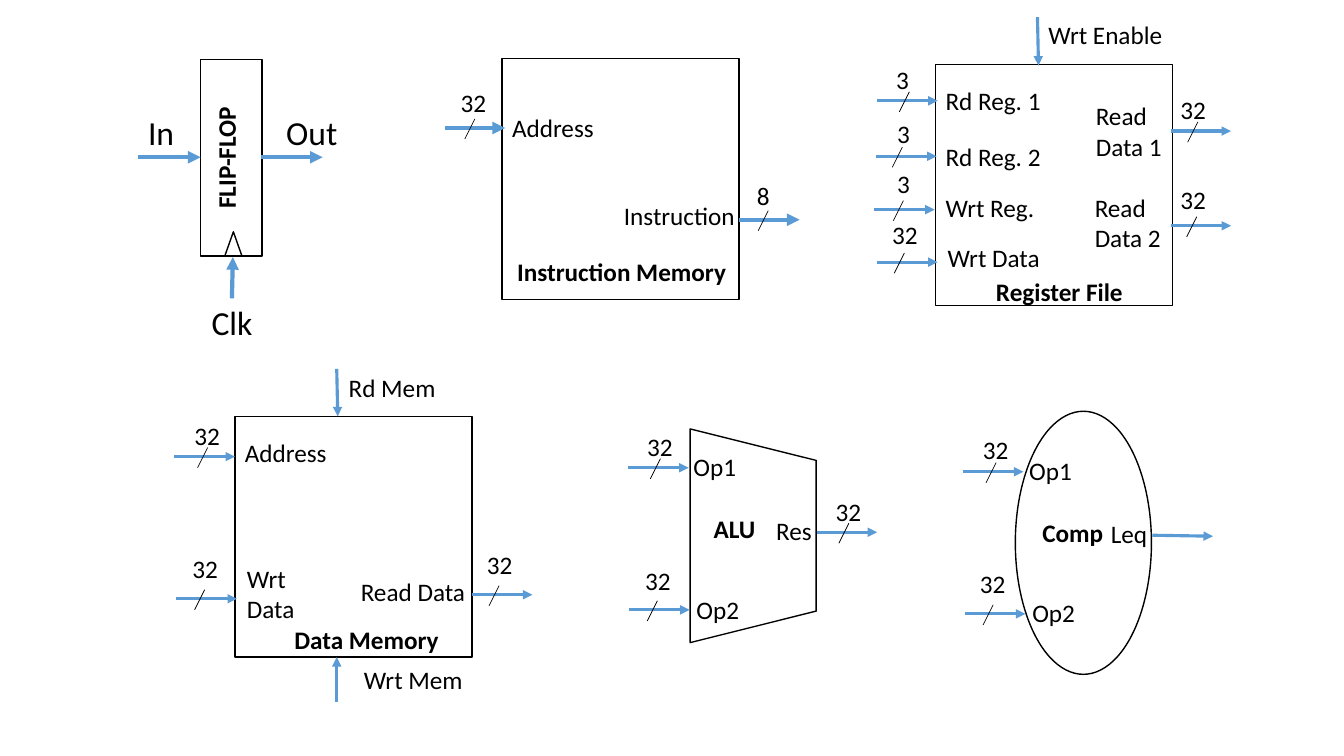
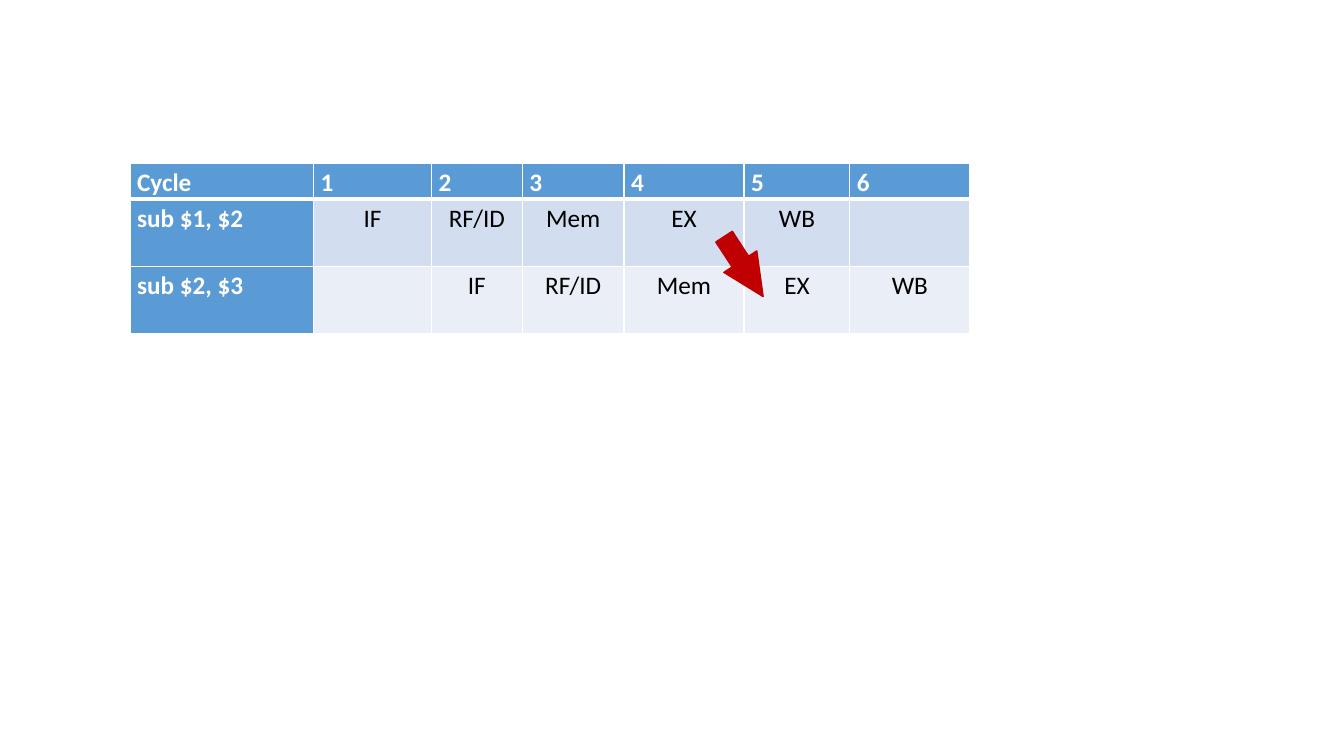
from lxml import etree
from pptx import Presentation
from pptx.dml.color import RGBColor
from pptx.enum.shapes import MSO_CONNECTOR, MSO_SHAPE
from pptx.enum.text import MSO_AUTO_SIZE, PP_ALIGN
from pptx.oxml.ns import qn
from pptx.util import Inches, Pt

RECT, OVAL = MSO_SHAPE.RECTANGLE, MSO_SHAPE.OVAL
TRAP, CLOCK = MSO_SHAPE.TRAPEZOID, MSO_SHAPE.ISOSCELES_TRIANGLE
ARROW, LINE = MSO_SHAPE.RIGHT_ARROW, MSO_CONNECTOR.STRAIGHT
GROW, LEFT, CENTER = MSO_AUTO_SIZE.SHAPE_TO_FIT_TEXT, PP_ALIGN.LEFT, PP_ALIGN.CENTER
BLACK, WHITE, BLUE, RED = "000000", "FFFFFF", "5B9BD5", "C00000"
BANDS = ("D2DEEF", "EAEFF7")
FONT = "Calibri"


def color(code):
    """Turn a hex string into a colour."""
    return RGBColor.from_string(code)


class Deck:
    """Hold the style, the current slide and the place to draw on."""

    def __init__(self):
        """Start a wide deck."""
        self.prs = Presentation()
        self.prs.slide_width, self.prs.slide_height = Inches(13.33), Inches(7.5)

    def page(self):
        """Add a blank slide."""
        self.slide = self.prs.slides.add_slide(self.prs.slide_layouts[6])
        self.on = self.slide.shapes

    def group(self):
        """Draw the next elements in a group."""
        self.on = self.slide.shapes.add_group_shape().shapes

    def leave(self):
        """Draw on the slide itself again."""
        self.on = self.slide.shapes

    def style(self, para, size=18, code=BLACK, bold=False, align=LEFT):
        """Format a paragraph and its runs."""
        para.alignment = align
        for run in para.runs:
            run.font.name, run.font.size, run.font.bold = FONT, Pt(size), bold
            run.font.color.rgb = color(code)

    def text(self, text, x, y, w, h=0.4, turn=0, **look):
        """Add a label that does not wrap."""
        box = self.on.add_textbox(Inches(x), Inches(y), Inches(w), Inches(h))
        box.rotation = turn
        frame = box.text_frame
        frame.word_wrap, frame.auto_size = False, GROW
        frame.text = text
        for para in frame.paragraphs:
            self.style(para, **look)

    def shape(self, kind, x, y, w, h, turn=0, fill=None, line=BLACK):
        """Add an outlined shape, filled if a colour is given."""
        item = self.on.add_shape(kind, Inches(x), Inches(y), Inches(w), Inches(h))
        item.shadow.inherit = False
        item.rotation = turn
        if fill:
            item.fill.solid()
            item.fill.fore_color.rgb = color(fill)
        else:
            item.fill.background()
        item.line.color.rgb, item.line.width = color(line), Pt(1)
        return item

    def line(self, x1, y1, x2, y2, code=BLACK, width=0.5):
        """Add a plain line."""
        item = self.on.add_connector(LINE, Inches(x1), Inches(y1), Inches(x2), Inches(y2))
        item.line.color.rgb, item.line.width = color(code), Pt(width)
        etree.SubElement(item._element.spPr, qn("a:effectLst"))
        return item

    def arrow(self, x1, y1, x2, y2, width=2.25):
        """Add a blue line with an arrowhead at its end."""
        item = self.line(x1, y1, x2, y2, BLUE, width)
        etree.SubElement(item.line._get_or_add_ln(), qn("a:tailEnd"), type="triangle")

    def bus(self, bits, x, y, cut, left, top, width=2.25):
        """Add an arrow with a slash and its bit count."""
        self.arrow(x, y, x + 0.6, y, width)
        self.line(cut + 0.05, y - 0.09, cut - 0.05, y + 0.11)
        self.text(bits, left, top, 0.2 + 0.13 * len(bits))

    def cell(self, cell, text, fill, base, **look):
        """Fill, frame and write a table cell."""
        props = cell._tc.get_or_add_tcPr()
        for side, width in (("L", 1), ("R", 1), ("T", 1), ("B", base)):
            edge = etree.SubElement(props, qn("a:ln" + side), w=str(Pt(width)))
            paint = etree.SubElement(edge, qn("a:solidFill"))
            etree.SubElement(paint, qn("a:srgbClr"), val=WHITE)
        cell.fill.solid()
        cell.fill.fore_color.rgb = color(fill)
        cell.margin_left = cell.margin_right = Inches(0.07)
        cell.margin_top = cell.margin_bottom = 0
        cell.text_frame.text = text
        para = cell.text_frame.paragraphs[0]
        para.line_spacing = 1.15
        self.style(para, **look)

    def table(self, x, y, cols, rows, data):
        """Add a table with a head row, a head column and bands."""
        grid = self.on.add_table(len(rows), len(cols), Inches(x), Inches(y),
                                 Inches(sum(cols)), Inches(sum(rows))).table
        grid.first_row = grid.horz_banding = False
        for col, width in zip(grid.columns, cols):
            col.width = Inches(width)
        for row, height in zip(grid.rows, rows):
            row.height = Inches(height)
        for r, texts in enumerate(data):
            for c, text in enumerate(texts):
                head = r == 0 or c == 0
                self.cell(grid.cell(r, c), text, BLUE if head else BANDS[r - 1],
                          1 if r else 3, code=WHITE if head else BLACK,
                          bold=head, align=LEFT if head else CENTER)


deck = Deck()
deck.page()

deck.group()
deck.shape(RECT, 1.99, 0.59, 0.61, 1.95)
deck.text("FLIP-FLOP", 1.78, 1.21, 1.23, 0.71, 270, bold=True, align=CENTER)
deck.shape(CLOCK, 2.23, 2.3, 0.17, 0.24)
for ends in ((2.3, 2.96, 2.31, 2.55), (1.37, 1.56, 1.99, 1.56), (2.59, 1.56, 3.2, 1.56)):
    deck.arrow(*ends, width=3)
for name, x, y, w in (("In", 1.37, 1.06, 0.46), ("Out", 2.74, 1.06, 0.71), ("Clk", 2, 2.95, 0.61)):
    deck.text(name, x, y, w, 0.5, size=24)
deck.leave()

for x, y in ((4.98, 0.58), (9.28, 0.64), (2.33, 4.13)):
    deck.shape(RECT, x, y, 2.35, 2.39)
deck.shape(TRAP, 6.41, 4.69, 2.12, 1.25, 90)
deck.shape(OVAL, 10.07, 4.08, 1.35, 2.61)

UNITS = (
    ("Instruction Memory", 5.03, 2.49, 2.29),
    ("Register File", 9.78, 2.69, 1.47),
    ("Data Memory", 2.82, 6.14, 1.65),
    ("ALU", 6.98, 5.04, 0.68),
    ("Comp", 10.24, 5.08, 0.9),
)
for unit in UNITS:
    deck.text(*unit, bold=True)

PORTS = (
    ("Address", 4.98, 1.07, 1.02),
    ("Instruction", 6.09, 1.94, 1.37),
    ("Rd Reg. 1", 9.28, 0.8, 1.16),
    ("Rd Reg. 2", 9.28, 1.35, 1.16),
    ("Wrt Reg.", 9.28, 1.86, 1.09),
    ("Wrt Data", 9.3, 2.36, 1.13),
    ("Read\nData 1", 10.77, 0.95, 0.86, 0.71),
    ("Read\nData 2", 10.76, 1.86, 0.86, 0.71),
    ("Wrt Enable", 10.3, 0.14, 1.34),
    ("Address", 2.33, 4.29, 1.02),
    ("Wrt\nData", 2.35, 5.54, 0.68, 0.71),
    ("Read Data", 3.48, 5.67, 1.25),
    ("Rd Mem", 3.36, 3.64, 1.07),
    ("Wrt Mem", 3.51, 6.54, 1.19),
    ("Op1", 6.78, 4.43, 0.63),
    ("Op2", 6.81, 5.85, 0.63),
    ("Res", 7.6, 5.06, 0.56),
    ("Op1", 10.11, 4.47, 0.63),
    ("Op2", 10.14, 5.88, 0.63),
    ("Leq", 10.92, 5.09, 0.57),
)
for port in PORTS:
    deck.text(*port)

BUSES = (
    ("32", 4.41, 1.27, 4.66, 4.47, 0.82, 3),
    ("8", 7.33, 2.18, 7.57, 7.41, 1.74, 3),
    ("3", 8.7, 1, 8.97, 8.79, 0.59),
    ("3", 8.69, 1.55, 8.9, 8.8, 1.12),
    ("3", 8.67, 2.08, 8.91, 8.8, 1.62),
    ("32", 8.7, 2.6, 8.92, 8.75, 2.13),
    ("32", 11.61, 1.3, 11.83, 11.61, 0.89),
    ("32", 11.61, 2.24, 11.82, 11.61, 1.78),
    ("32", 1.73, 4.53, 2.01, 1.83, 4.12),
    ("32", 1.75, 5.94, 1.98, 1.81, 5.44),
    ("32", 4.68, 5.9, 4.9, 4.73, 5.4),
    ("32", 6.23, 4.64, 6.5, 6.32, 4.23),
    ("32", 6.24, 6.05, 6.47, 6.3, 5.56),
    ("32", 8.1, 5.28, 8.37, 8.19, 4.87),
    ("32", 9.55, 4.68, 9.83, 9.65, 4.26),
    ("32", 9.57, 6.09, 9.8, 9.62, 5.59),
)
for bus in BUSES:
    deck.bus(*bus)

FLAGS = (
    (10.29, 0.17, 10.3, 0.65),
    (3.34, 3.66, 3.35, 4.13),
    (3.34, 6.96, 3.34, 6.52),
    (11.43, 5.31, 12.03, 5.32),
)
for flag in FLAGS:
    deck.arrow(*flag)

deck.page()
STAGES = ["IF", "RF/ID", "Mem", "EX", "WB"]
deck.table(1.29, 1.62, (1.82, 1.17, 0.9, 1.01, 1.19, 1.05, 1.19), (0.34, 0.67, 0.67), (
    ["Cycle", "1", "2", "3", "4", "5", "6"],
    ["sub $1, $2", *STAGES, ""],
    ["sub $2, $3", "", *STAGES],
))
hazard = deck.shape(ARROW, 7.02, 2.45, 0.71, 0.39, 56.9, RED, RED)
hazard.adjustments[0], hazard.adjustments[1] = 0.5, 1.06

deck.prs.save("out.pptx")
